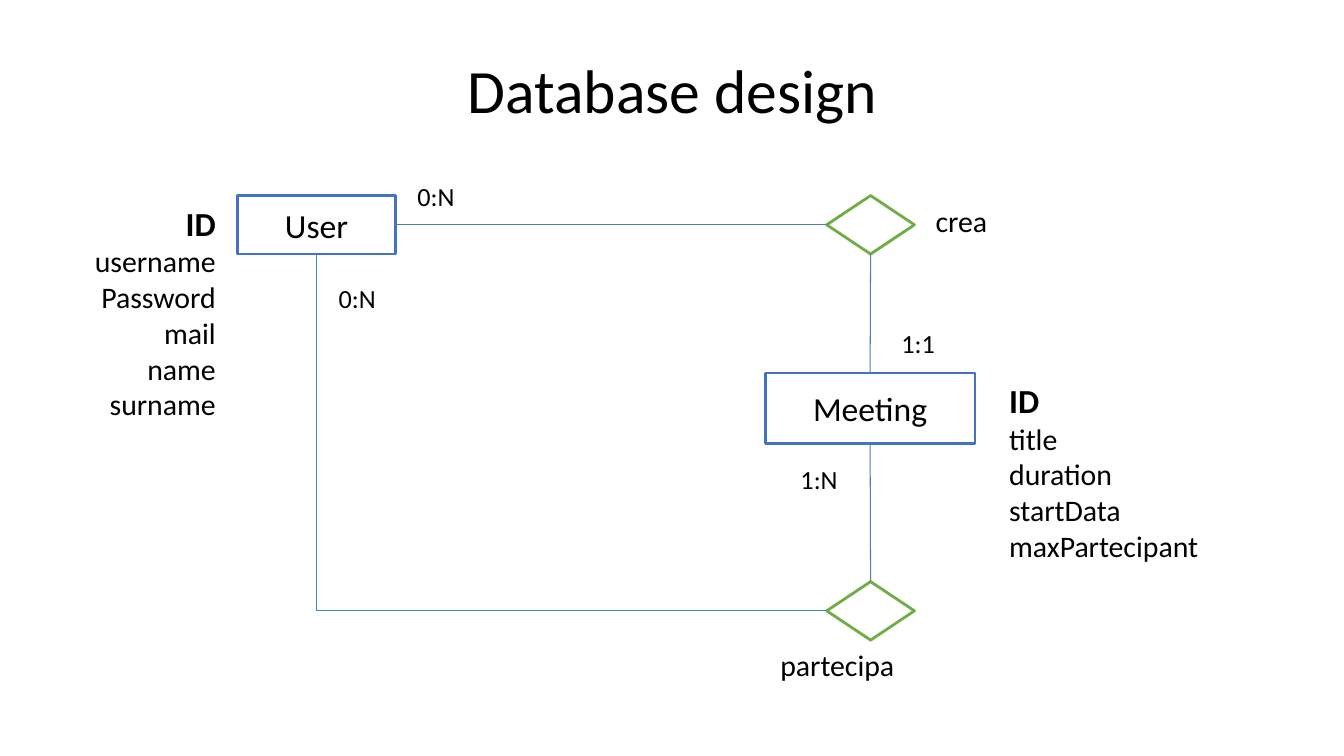
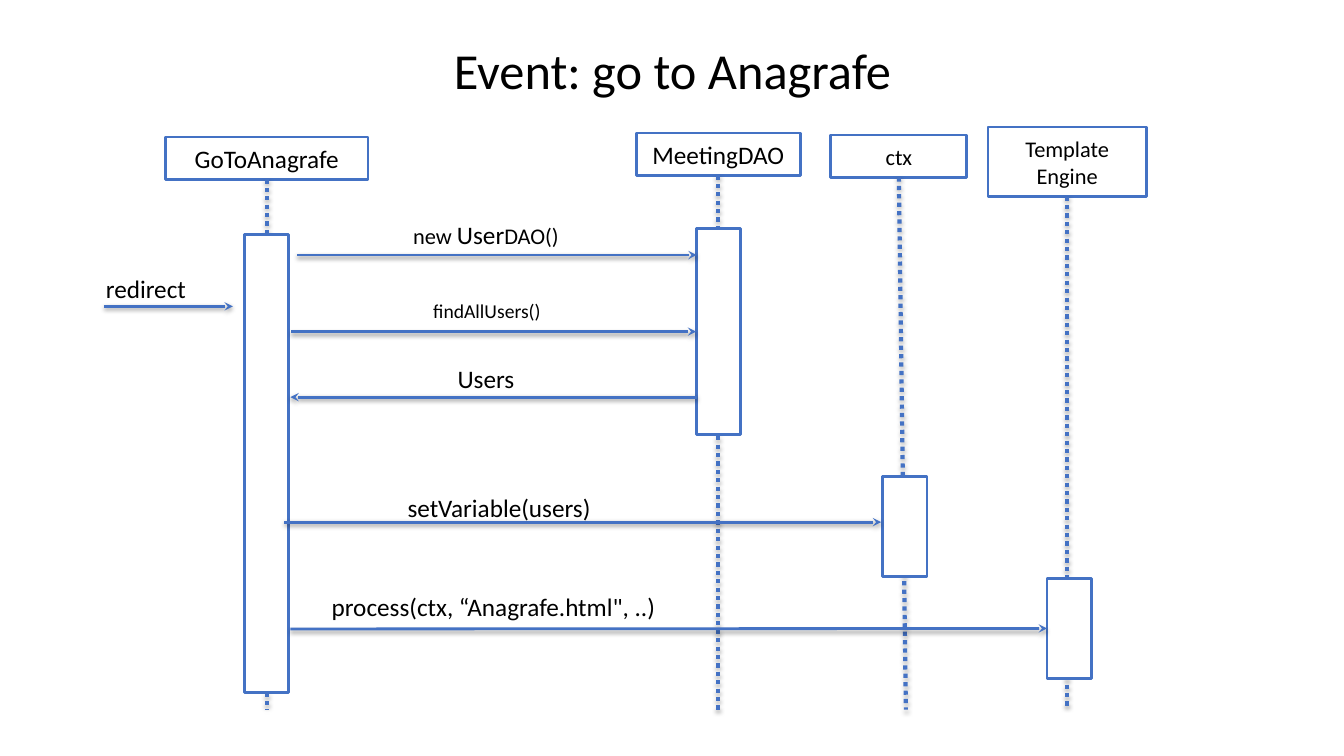
import dataclasses
import typing

import lxml.etree
import pptx
import pptx.dml.color
import pptx.enum.dml
import pptx.enum.shapes
import pptx.enum.text
import pptx.oxml.ns
import pptx.util

Inches = pptx.util.Inches
Align = pptx.enum.text.PP_ALIGN
Anchor = pptx.enum.text.MSO_ANCHOR
Preset = pptx.enum.shapes.MSO_SHAPE
Link = pptx.enum.shapes.MSO_CONNECTOR
qn = pptx.oxml.ns.qn
TOP, LEFT, BOTTOM, RIGHT = range(4)


@dataclasses.dataclass(frozen=True)
class Theme:
    """Colours, font and type sizes shared by the slides."""
    font: str = "Calibri"
    ink: str = "000000"
    paper: str = "FFFFFF"
    blue: str = "4472C4"
    green: str = "70AD47"
    wire: str = "4A7DBA"
    bend: str = "3D85C6"
    head: float = 44
    event: float = 36
    name: float = 24
    field: float = 21.3
    count: float = 18.7
    call: float = 18
    small: float = 16
    tiny: float = 14
    edge: float = 2
    thin: float = 0.75
    dots: float = 3


class Box(typing.NamedTuple):
    """A region in inches."""
    x: float
    y: float
    w: float
    h: float

    def emu(self):
        """Return the region as lengths."""
        return [Inches(side) for side in self]


THEME = Theme()


def tint(code):
    """Turn a hex code into a colour."""
    return pptx.dml.color.RGBColor.from_string(code)


def style(run, size, bold=False):
    """Set the font of one run."""
    run.font.name = THEME.font
    run.font.size = pptx.util.Pt(size)
    run.font.bold = bold
    run.font.color.rgb = tint(THEME.ink)


def write(frame, text, size, align=Align.CENTER, anchor=Anchor.TOP):
    """Put styled text in a frame."""
    frame.word_wrap = True
    frame.auto_size = pptx.enum.text.MSO_AUTO_SIZE.NONE
    frame.vertical_anchor = anchor
    frame.margin_left = frame.margin_right = Inches(0.13)
    frame.margin_top = frame.margin_bottom = Inches(0.07)
    frame.text = text
    for para in frame.paragraphs:
        para.alignment = align
        for run in para.runs:
            style(run, size)


def label(slide, box, text, size, align=Align.LEFT):
    """Add a text box and return its frame."""
    frame = slide.shapes.add_textbox(*box.emu()).text_frame
    write(frame, text, size, align)
    return frame


def title(deck, text, top, size):
    """Add a slide with a centred title."""
    slide = deck.slides.add_slide(deck.slide_layouts[5])
    head = slide.shapes.title
    head.left, head.top, head.width, head.height = Box(0.67, top, 12, 1.25).emu()
    write(head.text_frame, text, size, anchor=Anchor.MIDDLE)
    head.text_frame.paragraphs[0].line_spacing = 0.9
    return slide


def block(slide, box, color, kind=Preset.RECTANGLE, text="", size=THEME.name):
    """Add an outlined white shape."""
    shape = slide.shapes.add_shape(kind, *box.emu())
    shape.shadow.inherit = False
    shape.fill.solid()
    shape.fill.fore_color.rgb = tint(THEME.paper)
    shape.line.color.rgb = tint(color)
    shape.line.width = pptx.util.Pt(THEME.edge)
    if text:
        write(shape.text_frame, text, size, anchor=Anchor.MIDDLE)
    return shape


def wire(slide, ends, color, width, kind=Link.STRAIGHT, drop=0):
    """Add a line, with a soft shadow if drop is set."""
    line = slide.shapes.add_connector(kind, *[Inches(end) for end in ends])
    line.line.color.rgb = tint(color)
    line.line.width = pptx.util.Pt(width)
    effects = lxml.etree.SubElement(line.element.spPr, qn("a:effectLst"))
    if drop:
        shade = lxml.etree.SubElement(
            effects, qn("a:outerShdw"), blurRad="40000", dist=str(drop),
            dir="5400000", rotWithShape="0")
        black = lxml.etree.SubElement(shade, qn("a:srgbClr"), val=THEME.ink)
        alpha = "35000" if drop > 20000 else "38000"
        lxml.etree.SubElement(black, qn("a:alpha"), val=alpha)
    return line


def table(slide, box, name, fields, side):
    """Draw a named box with its fields at one side."""
    shape = block(slide, box, THEME.blue, text=name)
    wide = 2.17
    if side == LEFT:
        x, align = box.x - 0.09 - wide, Align.RIGHT
    else:
        x, align = box.x + box.w + 0.21, Align.LEFT
    frame = label(slide, Box(x, box.y, wide, 2.45), "\n".join(["ID", *fields]),
                  THEME.field, align)
    style(frame.paragraphs[0].runs[0], THEME.name, True)
    return shape


def diamond(slide, box, name, dx, dy, wide, align):
    """Draw a relation with its name set off from its corner."""
    shape = block(slide, box, THEME.green, Preset.DIAMOND)
    label(slide, Box(box.x + dx, box.y + dy, wide, 0.37), name, THEME.field, align)
    return shape


def bend(line):
    """Turn a joined elbow into one corner, down and then right."""
    x, y = line.begin_x, line.begin_y
    wide, tall = line.end_x - x, line.end_y - y
    line.left, line.top = x + (wide - tall) // 2, y + (tall - wide) // 2
    line.width, line.height = tall, wide
    form = line.element.spPr.find(qn("a:xfrm"))
    form.set("rot", "16200000")
    form.set("flipH", "1")
    line.element.spPr.find(qn("a:prstGeom")).set("prst", "bentConnector2")


def link(slide, start, port, stop, goal, count, dx, dy, bent=False):
    """Join a table to a diamond and note the count."""
    kind = Link.ELBOW if bent else Link.STRAIGHT
    color = THEME.bend if bent else THEME.wire
    line = wire(slide, (0, 0, 1, 1), color, THEME.thin, kind)
    line.begin_connect(start, port)
    line.end_connect(stop, goal)
    x, y = line.begin_x.inches + dx, line.begin_y.inches + dy
    if bent:
        bend(line)
    label(slide, Box(x, y, 0.83, 0.34), count, THEME.count)


def schema(slide, box):
    """Draw the tables and their relations."""
    x, y = box.x, box.y
    user = table(slide, Box(x, y, 1.56, 0.58), "User",
                 ["username", "Password", "mail", "name", "surname"], LEFT)
    meet = table(slide, Box(x + 5.23, y + 1.76, 2.08, 0.7), "Meeting",
                 ["title", "duration", "startData", "maxPartecipant"], RIGHT)
    make = diamond(slide, Box(x + 5.84, y, 0.87, 0.58), "crea",
                   0.95, 0, 1.41, Align.LEFT)
    join = diamond(slide, Box(x + 5.84, y + 3.83, 0.87, 0.58), "partecipa",
                   -0.8, 0.58, 1.6, Align.RIGHT)
    link(slide, user, RIGHT, make, LEFT, "0:N", 0.09, -0.51)
    link(slide, meet, TOP, make, BOTTOM, "1:1", 0.18, -0.52)
    link(slide, user, BOTTOM, join, LEFT, "0:N", 0.09, 0.21, True)
    link(slide, meet, BOTTOM, join, TOP, "1:N", -0.82, 0.13)


def lane(slide, box, name, size, tall, drop, span, lean=0, shift=0):
    """Draw a head, its dotted lifeline and its bar."""
    head = block(slide, Box(box.x, box.y, box.w, tall), THEME.blue,
                 text=name, size=size)
    mid, foot = box.x + box.w / 2, box.y + box.h
    life = wire(slide, (mid, box.y + tall, mid + lean, foot), THEME.blue,
                THEME.dots, drop=23000)
    life.begin_connect(head, BOTTOM)
    life.line.dash_style = pptx.enum.dml.MSO_LINE.ROUND_DOT
    wide = 0.44
    return block(slide, Box(mid + shift - wide / 2, box.y + drop, wide, span),
                 THEME.blue)


def call(slide, box, text, size, dx, wide, back=False, goal=None,
         align=Align.CENTER):
    """Draw an arrow on the lower edge of a box with a label above."""
    near, far, y = box.x, box.x + box.w, box.y + box.h
    if back:
        near, far = far, near
    line = wire(slide, (near, y, far, y), THEME.blue, THEME.edge, drop=20000)
    if goal is not None:
        line.end_connect(goal, LEFT)
    lxml.etree.SubElement(line.line._get_or_add_ln(), qn("a:tailEnd"),
                          type="stealth")
    return label(slide, Box(box.x + dx, box.y, wide, box.h), text, size, align)


def event(slide, box):
    """Draw the lanes and the calls between them."""
    x, y = box.x, box.y
    lanes = [
        (0.72, 0.1, 2.01, "GoToAnagrafe", THEME.call, 0.42, 0.97, 4.54, 0, 0),
        (5.39, 0.06, 1.63, "MeetingDAO", THEME.call, 0.42, 0.95, 2.04, 0, 0),
        (7.32, 0.08, 1.35, "ctx", THEME.small, 0.42, 3.39, 0.99, 0.07, 0.06),
        (8.88, 0, 1.57, "Template\vEngine", THEME.small, 0.69, 4.48, 0.99, 0, 0.02),
    ]
    bars = [lane(slide, Box(x + left, y + top, wide, box.h - top), *rest)
            for left, top, wide, *rest in lanes]
    call(slide, Box(x + 0.11, y + 1.38, 1.28, 0.4), "redirect", THEME.call,
         -0.11, 1.34, align=Align.LEFT)
    frame = call(slide, Box(x + 2.03, y + 0.85, 3.96, 0.42), "new ",
                 THEME.small, -0.07, 3.88)
    for part, size in (("User", THEME.call), ("DAO()", THEME.small)):
        run = frame.paragraphs[0].add_run()
        run.text = part
        style(run, size)
    call(slide, Box(x + 1.97, y + 1.64, 4.02, 0.39), "findAllUsers()",
         THEME.tiny, 0, 3.88, goal=bars[1])
    call(slide, Box(x + 1.96, y + 2.27, 4.03, 0.41), "Users", THEME.call,
         0.86, 2.16, back=True)
    call(slide, Box(x + 1.9, y + 3.55, 5.92, 0.37), "setVariable(users)",
         THEME.call, 0.39, 3.48)
    call(slide, Box(x + 1.96, y + 4.54, 7.51, 0.44),
         "process(ctx, “Anagrafe.html\", ..)", THEME.call, 0.13, 3.77,
         goal=bars[3])


def main():
    """Build and save the deck."""
    deck = pptx.Presentation()
    deck.slide_width, deck.slide_height = Inches(13.33), Inches(7.5)
    schema(title(deck, "Database design", 0.3, THEME.head),
           Box(2.36, 1.94, 9.69, 4.78))
    event(title(deck, "Event: go to Anagrafe", 0.1, THEME.event),
          Box(0.92, 1.26, 10.45, 5.78))
    deck.save("out.pptx")


if __name__ == "__main__":
    main()
